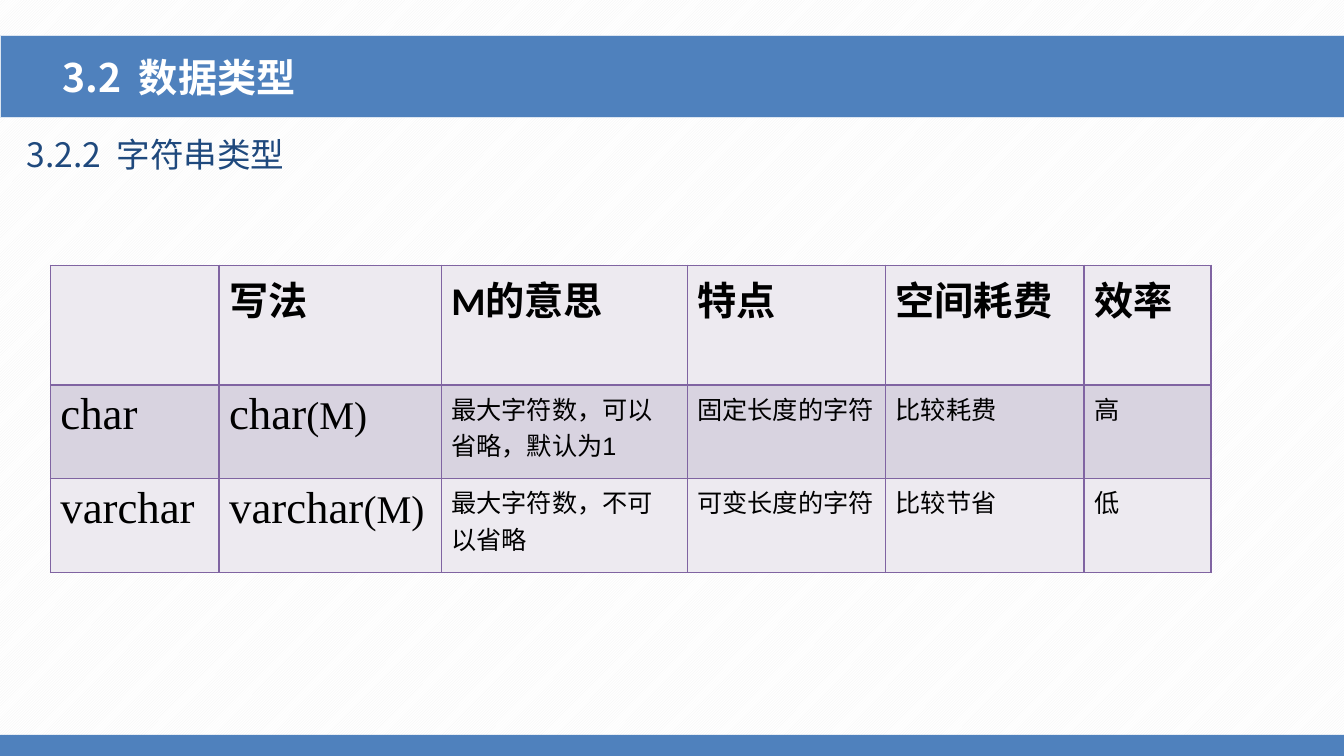
import dataclasses
import typing

import lxml.etree
import pptx
import pptx.dml.color
import pptx.enum.dml
import pptx.enum.shapes
import pptx.enum.text
import pptx.oxml.ns
import pptx.util

Cm = pptx.util.Cm
Pt = pptx.util.Pt
qn = pptx.oxml.ns.qn


@dataclasses.dataclass(frozen=True)
class Theme:
    blue: str = "4F81BD"
    pale_blue: str = "DCE6F2"
    navy: str = "1F497D"
    purple: str = "8064A2"
    light_row: str = "EDEAF0"
    dark_row: str = "D8D3E0"
    stripe: str = "F2F2F2"
    white: str = "FFFFFF"
    black: str = "000000"
    cjk: str = "Noto Sans CJK SC"
    sans: str = "Arial"
    header_latin: str = "Calibri"
    code: str = "Times New Roman"
    body_size: int = 18
    subtitle_size: int = 24
    heading_size: int = 28
    code_size: int = 32


THEME = Theme()


class Style(typing.NamedTuple):
    size: int
    face: str
    color: str = THEME.black
    bold: bool = False


class Piece(typing.NamedTuple):
    text: str
    style: Style


class Bar(typing.NamedTuple):
    left: float
    top: float
    width: float
    height: float
    outline: str | None


class Label(typing.NamedTuple):
    left: float
    top: float
    width: float
    height: float
    piece: Piece
    frame_format: dict[str, typing.Any]


HEADER = Style(THEME.heading_size, THEME.sans, bold=True)
HEADER_LATIN = HEADER._replace(face=THEME.header_latin)
CODE = Style(THEME.code_size, THEME.code)
CODE_ARGUMENT = CODE._replace(size=THEME.heading_size)
BODY = Style(THEME.body_size, THEME.sans)

BARS = [
    Bar(0.02, 0.89, 33.86, 2.08, THEME.pale_blue),
    Bar(0, 18.52, 33.87, 0.53, None),
]

FRAME_FORMAT = {
    "word_wrap": True,
    "auto_size": pptx.enum.text.MSO_AUTO_SIZE.SHAPE_TO_FIT_TEXT,
}
TITLE_FORMAT = FRAME_FORMAT | {
    "vertical_anchor": pptx.enum.text.MSO_ANCHOR.MIDDLE,
    "margin_left": Cm(0.3),
    "margin_right": Cm(0.3),
    "margin_top": Cm(0.15),
    "margin_bottom": Cm(0.15),
}
LABELS = [
    Label(1.27, 1.19, 23, 1.5,
          Piece("3.2  数据类型", Style(THEME.heading_size, THEME.cjk, THEME.white, True)),
          TITLE_FORMAT),
    Label(0.43, 3.25, 32.7, 2.13,
          Piece("3.2.2  字符串类型", Style(THEME.subtitle_size, THEME.cjk, THEME.navy)),
          FRAME_FORMAT),
]

COLUMN_WIDTHS = [4.25, 5.6, 6.2, 5, 5, 3.2]
ROW_HEIGHTS = [3.02, 2.36, 2.36]
ROW_FILLS = [THEME.light_row, THEME.dark_row, THEME.light_row]


def type_row(name: str, *descriptions: str) -> list[list[Piece]]:
    """Cells of one data type: its name, its syntax and its properties."""
    syntax = [Piece(name, CODE), Piece("(M)", CODE_ARGUMENT)]
    return [[Piece(name, CODE)], syntax] + [[Piece(text, BODY)] for text in descriptions]


TYPE_ROWS = [
    [[], [Piece("写法", HEADER)]]
    + [[Piece(text, HEADER_LATIN)] for text in ("M的意思", "特点", "空间耗费", "效率")],
    type_row("char", "最大字符数，可以省略，默认为1", "固定长度的字符", "比较耗费", "高"),
    type_row("varchar", "最大字符数，不可以省略", "可变长度的字符", "比较节省", "低"),
]


def rgb(color: str) -> pptx.dml.color.RGBColor:
    return pptx.dml.color.RGBColor.from_string(color)


def apply_format(target: typing.Any, values: dict[str, typing.Any]) -> None:
    for name, value in values.items():
        setattr(target, name, value)


def write_piece(paragraph: typing.Any, piece: Piece) -> None:
    run = paragraph.add_run()
    run.text = piece.text
    style = piece.style
    apply_format(run.font, {"size": Pt(style.size), "name": style.face, "bold": style.bold})
    run.font.color.rgb = rgb(style.color)
    # East Asian typeface follows the Latin one
    latin = run.font._element.find(qn("a:latin"))
    east_asian = lxml.etree.Element(qn("a:ea"), typeface=THEME.cjk)
    latin.addnext(east_asian)


def draw_background(slide: typing.Any) -> None:
    fill = slide.background.fill
    fill.patterned()
    fill.pattern = pptx.enum.dml.MSO_PATTERN.DARK_UPWARD_DIAGONAL
    fill.fore_color.rgb = rgb(THEME.stripe)
    fill.back_color.rgb = rgb(THEME.white)


def draw_bar(slide: typing.Any, bar: Bar) -> None:
    band = slide.shapes.add_shape(
        pptx.enum.shapes.MSO_SHAPE.RECTANGLE,
        Cm(bar.left), Cm(bar.top), Cm(bar.width), Cm(bar.height))
    band.shadow.inherit = False
    band.fill.solid()
    band.fill.fore_color.rgb = rgb(THEME.blue)
    if bar.outline:
        band.line.color.rgb = rgb(bar.outline)
        band.line.width = Pt(0.75)
    else:
        band.line.fill.background()


def draw_label(slide: typing.Any, label: Label) -> None:
    frame = slide.shapes.add_textbox(
        Cm(label.left), Cm(label.top), Cm(label.width), Cm(label.height)).text_frame
    apply_format(frame, label.frame_format)
    write_piece(frame.paragraphs[0], label.piece)


def add_borders(cell: typing.Any) -> None:
    properties = cell._tc.get_or_add_tcPr()
    for side in ("a:lnL", "a:lnR", "a:lnT", "a:lnB"):
        border = lxml.etree.SubElement(properties, qn(side), w=str(Pt(1)))
        fill = lxml.etree.SubElement(border, qn("a:solidFill"))
        lxml.etree.SubElement(fill, qn("a:srgbClr"), val=THEME.purple)


def draw_type_table(slide: typing.Any) -> None:
    comparison = slide.shapes.add_table(
        len(ROW_HEIGHTS), len(COLUMN_WIDTHS), Cm(1.27), Cm(6.68),
        Cm(sum(COLUMN_WIDTHS)), Cm(sum(ROW_HEIGHTS))).table
    apply_format(comparison, {"first_row": False, "horz_banding": False})
    for column, width in zip(comparison.columns, COLUMN_WIDTHS):
        column.width = Cm(width)
    for row, height, fill, contents in zip(comparison.rows, ROW_HEIGHTS, ROW_FILLS, TYPE_ROWS):
        row.height = Cm(height)
        for cell, pieces in zip(row.cells, contents):
            add_borders(cell)
            cell.fill.solid()
            cell.fill.fore_color.rgb = rgb(fill)
            for piece in pieces:
                write_piece(cell.text_frame.paragraphs[0], piece)


def main() -> None:
    deck = pptx.Presentation()
    apply_format(deck, {"slide_width": Cm(33.87), "slide_height": Cm(19.05)})
    slide = deck.slides.add_slide(deck.slide_layouts[6])
    # Backdrop and bands
    draw_background(slide)
    for bar in BARS:
        draw_bar(slide, bar)
    # Title and section heading
    for label in LABELS:
        draw_label(slide, label)
    # Comparison of the string types
    draw_type_table(slide)
    deck.save("out.pptx")


if __name__ == "__main__":
    main()
